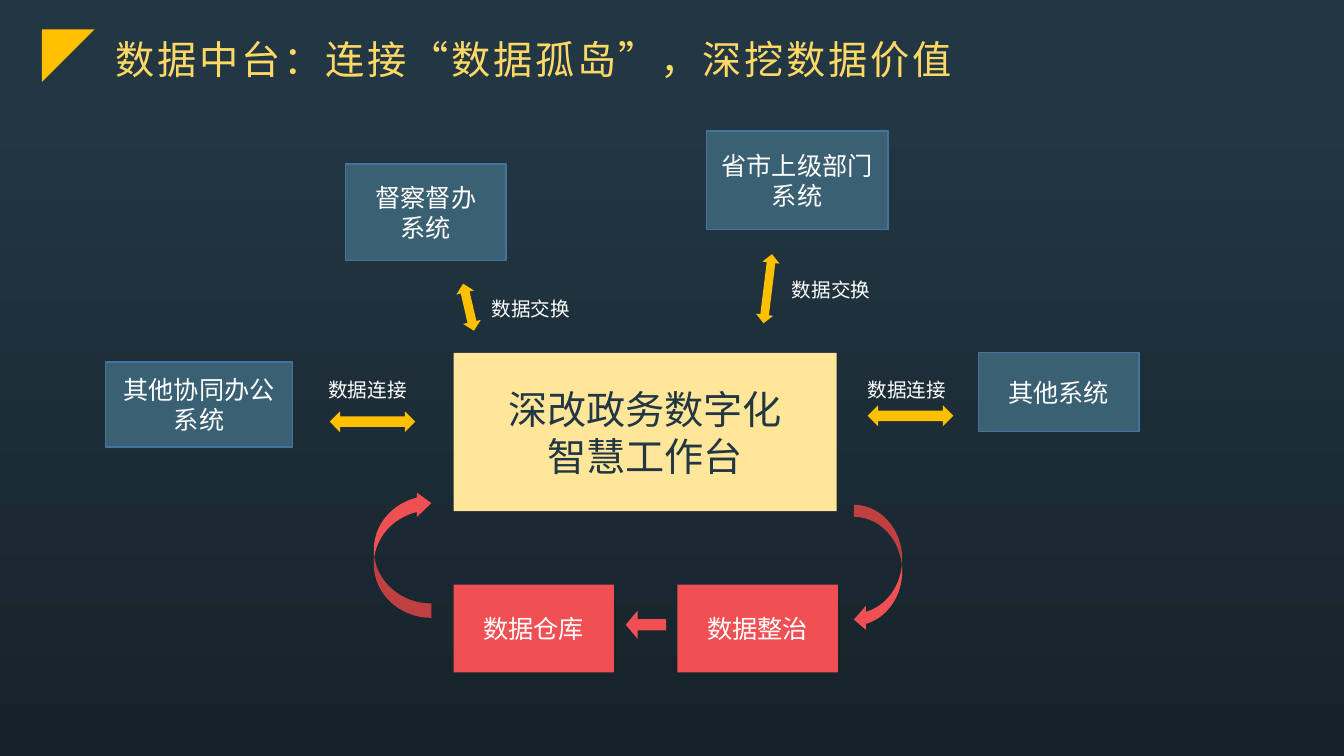
import dataclasses

import lxml.etree
import pptx
import pptx.dml.color
import pptx.enum.shapes
import pptx.enum.text
import pptx.oxml.ns
import pptx.util

SHAPE = pptx.enum.shapes.MSO_SHAPE
ALIGN = pptx.enum.text.PP_ALIGN
ANCHOR = pptx.enum.text.MSO_ANCHOR
SLIDE_WIDTH = pptx.util.Inches(13.33)
SLIDE_HEIGHT = pptx.util.Inches(7.5)
COLUMNS, ROWS = 32, 18


@dataclasses.dataclass(frozen=True)
class Theme:
    font: str = "Noto Sans CJK SC"
    night: str = "16222A"
    dusk: str = "223743"
    gold: str = "FFC000"
    title: str = "FFD966"
    hub: str = "FFE699"
    red: str = "F05053"
    system: str = "3A6073"
    border: str = "43739E"
    white: str = "FFFFFF"
    large: int = 28
    medium: int = 18
    small: int = 14


THEME = Theme()


def color(value):
    return pptx.dml.color.RGBColor.from_string(value)


def grid(left, top, width, height):
    """Turn columns and rows into slide lengths."""
    column, row = SLIDE_WIDTH / COLUMNS, SLIDE_HEIGHT / ROWS
    return [round(n) for n in (left * column, top * row, width * column, height * row)]


def paint_background(slide):
    fill = slide.background.fill
    fill.gradient()
    fill.gradient_angle = 90
    stops = ((0, THEME.night), (0.87, THEME.dusk))
    for stop, (position, value) in zip(fill.gradient_stops, stops):
        stop.position = position
        stop.color.rgb = color(value)


def write(shape, text, size, text_color, align, spacing=0):
    frame = shape.text_frame
    frame.word_wrap = True
    frame.vertical_anchor = ANCHOR.MIDDLE
    frame.text = text
    for paragraph in frame.paragraphs:
        paragraph.alignment = align
        for run in paragraph.runs:
            run.font.name = THEME.font
            run.font.size = pptx.util.Pt(size)
            run.font.color.rgb = color(text_color)
            properties = run.font._element
            east_asian = lxml.etree.SubElement(properties, pptx.oxml.ns.qn("a:ea"))
            east_asian.set("typeface", THEME.font)
            if spacing:
                properties.set("spc", str(spacing * 100))


def add_figure(slide, kind, place, fill, rotation=0, adjustments=()):
    shape = slide.shapes.add_shape(kind, *grid(*place))
    shape.shadow.inherit = False
    shape.fill.solid()
    shape.fill.fore_color.rgb = color(fill)
    shape.line.fill.background()
    shape.rotation = rotation
    for index, value in enumerate(adjustments):
        shape.adjustments[index] = value
    return shape


def add_box(slide, text, place, fill, size=THEME.medium, text_color=THEME.white):
    box = add_figure(slide, SHAPE.RECTANGLE, place, fill)
    write(box, text, size, text_color, ALIGN.CENTER)
    return box


def add_system(slide, text, place):
    box = add_box(slide, text, place, THEME.system)
    box.line.color.rgb = color(THEME.border)
    box.line.width = pptx.util.Pt(1)


def add_title(slide, text):
    add_figure(slide, SHAPE.RIGHT_TRIANGLE, (1, 0.7, 1.25, 1.25), THEME.gold, 90)
    title = slide.shapes.add_textbox(*grid(2.52, 0.7, 28.49, 1.42))
    write(title, text, THEME.large, THEME.title, ALIGN.LEFT, spacing=2)


def add_exchange(slide, text, label_corner, arrow_place, rotation=0):
    """Add a two-way arrow and its label."""
    add_figure(slide, SHAPE.LEFT_RIGHT_ARROW, arrow_place, THEME.gold, rotation)
    label = slide.shapes.add_textbox(*grid(*label_corner, 2.52, 0.82))
    write(label, text, THEME.small, THEME.white, ALIGN.LEFT)


def main():
    presentation = pptx.Presentation()
    presentation.slide_width = SLIDE_WIDTH
    presentation.slide_height = SLIDE_HEIGHT
    slide = presentation.slides.add_slide(presentation.slide_layouts[6])
    paint_background(slide)
    add_title(slide, "数据中台：连接“数据孤岛”，深挖数据价值")

    # Central workbench
    add_box(slide, "深改政务数字化\n智慧工作台", (10.8, 8.4, 9.12, 3.77),
            THEME.hub, THEME.large, THEME.dusk)

    # Surrounding systems
    for text, place in (
        ("督察督办\n系统", (8.23, 3.91, 3.82, 2.3)),
        ("其他协同办公系统", (2.52, 8.62, 4.44, 2.02)),
        ("其他系统", (23.3, 8.4, 3.82, 1.87)),
        ("省市上级部门\n系统", (16.82, 3.12, 4.32, 2.35)),
    ):
        add_system(slide, text, place)

    # Links between the systems and the workbench
    for text, corner, place, rotation in (
        ("数据交换", (11.47, 6.94), (10.58, 7.1, 1.15, 0.43), 77),
        ("数据交换", (18.62, 6.48), (17.45, 6.67, 1.66, 0.41), 97),
        ("数据连接", (7.58, 8.86), (7.85, 9.79, 2.04, 0.5), 0),
        ("数据连接", (20.42, 8.86), (20.66, 9.65, 2.04, 0.5), 0),
    ):
        add_exchange(slide, text, corner, place, rotation)

    # Data processing loop
    for text, left in (("数据仓库", 10.8), ("数据整治", 16.13)):
        add_box(slide, text, (left, 13.92, 3.82, 2.09), THEME.red)
    for kind, place, rotation, adjustments in (
        (SHAPE.CURVED_LEFT_ARROW, (20.33, 12.02, 1.15, 3.02), 0, ()),
        (SHAPE.LEFT_ARROW, (14.9, 14.54, 0.96, 0.67), 0, (0.4, 0.42)),
        (SHAPE.CURVED_LEFT_ARROW, (8.9, 11.69, 1.37, 3.02), 180, (0.25, 0.42, 0.25)),
    ):
        add_figure(slide, kind, place, THEME.red, rotation, adjustments)

    presentation.save("out.pptx")


if __name__ == "__main__":
    main()
